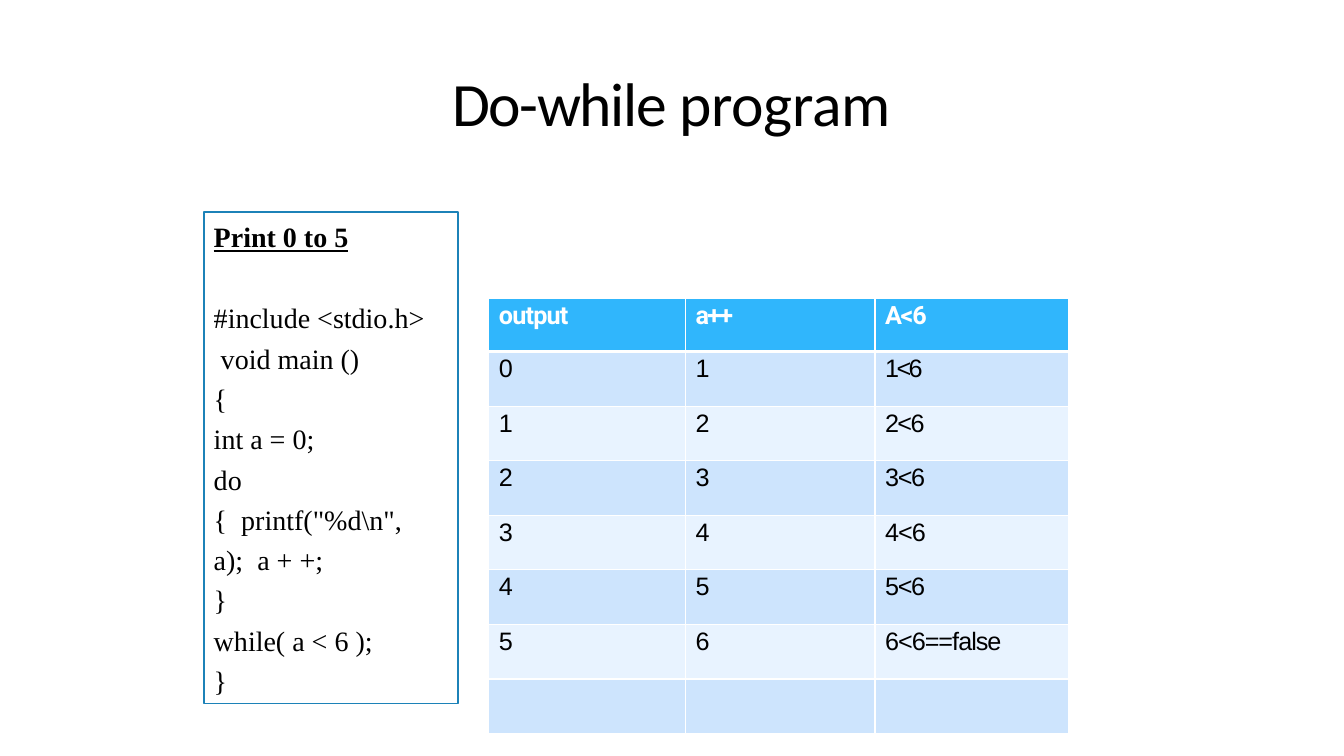
from dataclasses import dataclass

from lxml import etree
from pptx import Presentation
from pptx.dml.color import RGBColor
from pptx.enum.shapes import MSO_SHAPE
from pptx.enum.text import MSO_ANCHOR, MSO_AUTO_SIZE, PP_ALIGN
from pptx.oxml.ns import qn
from pptx.util import Pt

RECTANGLE = MSO_SHAPE.RECTANGLE
TOP, MIDDLE = MSO_ANCHOR.TOP, MSO_ANCHOR.MIDDLE
LEFT, CENTER = PP_ALIGN.LEFT, PP_ALIGN.CENTER
NO_AUTOFIT = MSO_AUTO_SIZE.NONE


@dataclass(frozen=True)
class Theme:
    ink: str = "000000"
    white: str = "FFFFFF"
    box_line: str = "1C82B8"
    header: str = "30B6FC"
    bands: tuple = ("CDE4FD", "E8F3FF")
    title_font: str = "Calibri"
    code_font: str = "Times New Roman"
    header_font: str = "Roboto"
    cell_font: str = "Arial"
    title_size: int = 44
    code_size: int = 20
    cell_size: int = 18


THEME = Theme()

# Text, space before in points, line spacing
CODE = [
    ("Print 0 to 5", 0, 1.0),
    ("#include <stdio.h>\v void main ()", 29, 1.2),
    ("{", 4.8, 1.0),
    ("int a = 0;", 4.8, 1.0),
    ("do\v{  printf(\"%d\\n\",\va);  a + +;", 0, 1.2),
    ("}", 4.8, 1.0),
    ("while( a < 6 );", 4.8, 1.0),
    ("}", 4.8, 1.0),
]

# Rows of the trace, and the letter spacing of each column
TRACE = [("output", "a++", "A<6")]
TRACE += [(str(a), str(a + 1), f"{a + 1}<6") for a in range(5)]
TRACE += [("5", "6", "6<6==false"), ("", "", "")]
HEADER_TRACKING = (-0.6, -1.2, -0.9)
TEST_TRACKING = (-1.8, -1.1, -0.9, -0.7, -0.9, -0.7, 0)


def apply(target, values):
    for name, value in values.items():
        setattr(target, name, value)


def style_run(run, font, size, color, tracking=0, bold=False, underline=False):
    apply(run.font, {"name": font, "size": Pt(size), "bold": bold,
                     "underline": underline})
    run.font.color.rgb = RGBColor.from_string(color)
    if tracking:
        run.font._element.set("spc", str(round(tracking * 100)))


def add_title(slide, parts):
    title = slide.shapes.title
    apply(title, {"left": Pt(311), "top": Pt(45.4),
                  "width": Pt(337), "height": Pt(54.7)})
    frame = title.text_frame
    apply(frame, {"margin_left": 0, "margin_right": 0, "margin_top": Pt(0.7),
                  "margin_bottom": 0, "vertical_anchor": MIDDLE,
                  "word_wrap": True, "auto_size": NO_AUTOFIT})
    heading = frame.paragraphs[0]
    apply(heading, {"alignment": CENTER, "space_before": Pt(1.1)})
    for text, tracking in parts:
        run = heading.add_run()
        run.text = text
        style_run(run, THEME.title_font, THEME.title_size, THEME.ink, tracking)


def add_code_box(slide, lines):
    box = slide.shapes.add_shape(RECTANGLE, Pt(145.6), Pt(151.2), Pt(181.4), Pt(351.4))
    box.shadow.inherit = False
    box.fill.background()
    box.line.color.rgb = RGBColor.from_string(THEME.box_line)
    box.line.width = Pt(1.2)
    frame = box.text_frame
    apply(frame, {"margin_left": Pt(7.2), "margin_right": 0, "margin_top": Pt(5.8),
                  "margin_bottom": 0, "vertical_anchor": TOP,
                  "word_wrap": True, "auto_size": NO_AUTOFIT})
    for index, (text, before, spacing) in enumerate(lines):
        line = frame.add_paragraph() if index else frame.paragraphs[0]
        line.text = text
        apply(line, {"alignment": LEFT, "space_before": Pt(before),
                     "line_spacing": spacing})
        for run in line.runs:
            style_run(run, THEME.code_font, THEME.code_size, THEME.ink,
                      bold=index == 0, underline=index == 0)


def set_borders(cell, widths):
    properties = cell._tc.get_or_add_tcPr()
    for side, width in widths.items():
        border = etree.SubElement(properties, qn(f"a:ln{side}"), w=str(Pt(width)))
        fill = etree.SubElement(border, qn("a:solidFill"))
        etree.SubElement(fill, qn("a:srgbClr"), val=THEME.white)


def fill_cell(cell, text, row, column):
    is_header = row == 0
    # Borders come before the fill in the cell properties
    set_borders(cell, {"L": 1, "R": 1, "T": 3 if row == 1 else 1,
                       "B": 3 if is_header else 1})
    color = THEME.header if is_header else THEME.bands[(row - 1) % 2]
    cell.fill.solid()
    cell.fill.fore_color.rgb = RGBColor.from_string(color)
    apply(cell, {"margin_left": Pt(7.2), "margin_right": 0,
                 "margin_top": Pt(2.2), "margin_bottom": 0})
    if not text:
        return
    run = cell.text_frame.paragraphs[0].add_run()
    run.text = text
    if is_header:
        style_run(run, THEME.header_font, THEME.cell_size, THEME.white,
                  HEADER_TRACKING[column], bold=True)
    else:
        tracking = TEST_TRACKING[row - 1] if column == 2 else 0
        style_run(run, THEME.cell_font, THEME.cell_size, THEME.ink, tracking)


def add_trace_table(slide, rows):
    trace = slide.shapes.add_table(len(rows), len(rows[0]), Pt(349.2), Pt(213.1),
                                   Pt(414), Pt(311)).table
    apply(trace, {"first_row": False, "horz_banding": False})
    for column, width in zip(trace.columns, (140.4, 135.4, 138.2)):
        column.width = Pt(width)
    for index, row in enumerate(trace.rows):
        row.height = Pt(39 if index else 38)
    for row, values in enumerate(rows):
        for column, text in enumerate(values):
            fill_cell(trace.cell(row, column), text, row, column)


def main():
    deck = Presentation()
    apply(deck, {"slide_width": Pt(960), "slide_height": Pt(540)})
    slide = deck.slides.add_slide(deck.slide_layouts.get_by_name("Title Only"))
    # Program listing on the left, its trace on the right
    add_code_box(slide, CODE)
    add_title(slide, [("Do-while ", -1), ("program", -0.3)])
    add_trace_table(slide, TRACE)
    deck.save("out.pptx")


if __name__ == "__main__":
    main()
